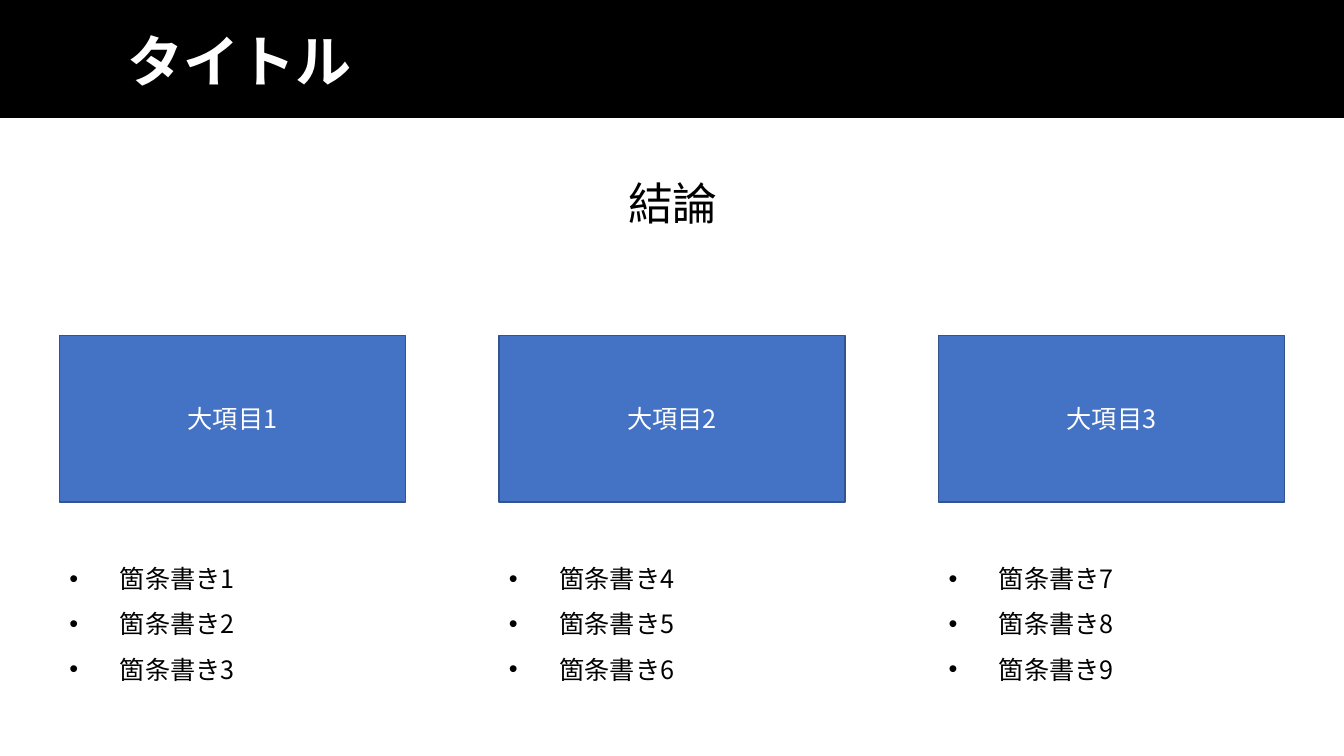
from lxml.etree import SubElement
from pptx import Presentation
from pptx.dml.color import RGBColor
from pptx.enum.shapes import MSO_SHAPE as Shape
from pptx.enum.text import MSO_ANCHOR as Anchor, MSO_AUTO_SIZE as AutoSize, PP_ALIGN as Align
from pptx.oxml.ns import qn
from pptx.util import Inches, Pt

BLACK = RGBColor(0x00, 0x00, 0x00)
WHITE = RGBColor(0xFF, 0xFF, 0xFF)
BLUE = RGBColor(0x44, 0x72, 0xC4)
DARK_BLUE = RGBColor(0x32, 0x54, 0x91)
FONT = "Noto Sans CJK JP"

# Slide and three-column grid, in inches
WIDTH, HEIGHT = 13.33, 7.5
COLUMNS, ITEMS_PER_COLUMN = 3, 3
MARGIN, COLUMN_WIDTH = 0.59, 3.43
COLUMN_STEP = (WIDTH - 2 * MARGIN - COLUMN_WIDTH) / (COLUMNS - 1)
BOX_TOP, BOX_HEIGHT = 3.33, 1.65
LIST_TOP, LIST_HEIGHT = 5.39, 1.42
LIST_INDENT = Inches(0.5)


def write(paragraph, text, size, color, bold=False):
    run = paragraph.add_run()
    run.text = text
    font = run.font
    font.name, font.size, font.bold = FONT, Pt(size), bold
    font.color.rgb = color
    # Japanese glyphs take the East Asian typeface
    SubElement(run._r.get_or_add_rPr(), qn("a:ea"), typeface=FONT)


def add_rectangle(slide, area, fill, line=None):
    shape = slide.shapes.add_shape(Shape.RECTANGLE, *map(Inches, area))
    shape.shadow.inherit = False
    shape.fill.solid()
    shape.fill.fore_color.rgb = fill
    if line is None:
        shape.line.fill.background()
    else:
        shape.line.color.rgb = line
        shape.line.width = Pt(1)
    return shape


def add_text_frame(slide, area, anchor=Anchor.TOP):
    frame = slide.shapes.add_textbox(*map(Inches, area)).text_frame
    frame.word_wrap = True
    frame.vertical_anchor = anchor
    return frame


def add_heading(slide, area, text, size, color, align, bold=False):
    paragraph = add_text_frame(slide, area, Anchor.MIDDLE).paragraphs[0]
    paragraph.alignment = align
    paragraph.line_spacing = 0.9
    write(paragraph, text, size, color, bold)


def add_topic_box(slide, left, text):
    box = add_rectangle(slide, (left, BOX_TOP, COLUMN_WIDTH, BOX_HEIGHT), BLUE, DARK_BLUE)
    box.text_frame.vertical_anchor = Anchor.MIDDLE
    paragraph = box.text_frame.paragraphs[0]
    paragraph.alignment = Align.CENTER
    write(paragraph, text, 18, WHITE)


def add_bullet_list(slide, left, items):
    frame = add_text_frame(slide, (left, LIST_TOP, COLUMN_WIDTH, LIST_HEIGHT))
    frame.auto_size = AutoSize.SHAPE_TO_FIT_TEXT
    for index, item in enumerate(items):
        paragraph = frame.add_paragraph() if index else frame.paragraphs[0]
        paragraph.line_spacing = 1.5
        properties = paragraph._p.get_or_add_pPr()
        properties.set("marL", str(LIST_INDENT))
        properties.set("indent", str(-LIST_INDENT))
        SubElement(properties, qn("a:buFont"), typeface="Arial")
        SubElement(properties, qn("a:buChar"), char="•")
        write(paragraph, item, 18, BLACK)


def main():
    presentation = Presentation()
    presentation.slide_width = Inches(WIDTH)
    presentation.slide_height = Inches(HEIGHT)
    slide = presentation.slides.add_slide(presentation.slide_layouts[6])

    # Title band and conclusion
    add_rectangle(slide, (0, 0, WIDTH, 1.17), BLACK)
    add_heading(slide, (1.17, 0.08, 10.99, 1.11), "タイトル", 40, WHITE, Align.LEFT, bold=True)
    add_heading(slide, (0.53, 1.4, 12.29, 1.28), "結論", 32, BLACK, Align.CENTER)

    # One topic with its bullet points per column
    for column in range(COLUMNS):
        left = MARGIN + column * COLUMN_STEP
        first = column * ITEMS_PER_COLUMN + 1
        items = [f"箇条書き{number}" for number in range(first, first + ITEMS_PER_COLUMN)]
        add_topic_box(slide, left, f"大項目{column + 1}")
        add_bullet_list(slide, left, items)

    presentation.save("out.pptx")


main()
